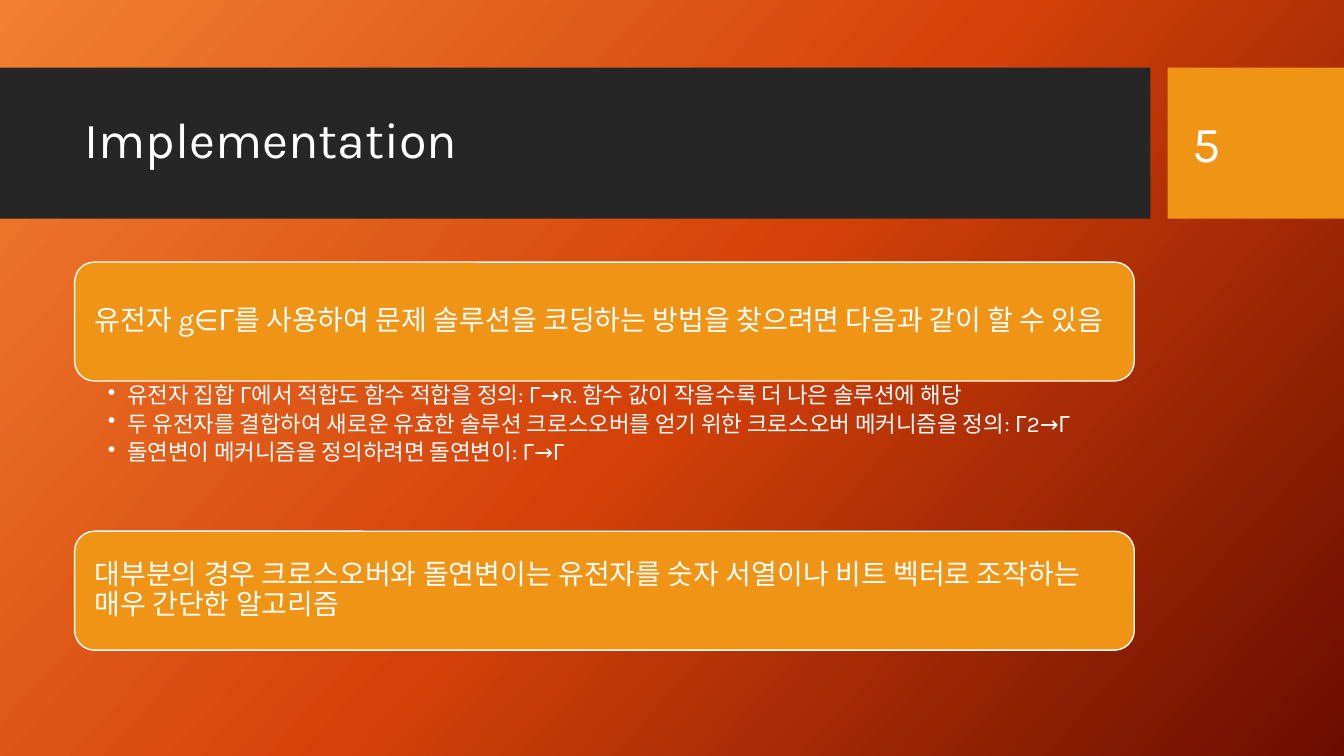
import copy

import pptx
import pptx.dml.color
import pptx.enum.shapes
import pptx.enum.text
import pptx.oxml.ns
import pptx.util
from lxml import etree

FONT = "Karla"
WHITE, DARK, AMBER = "FFFFFF", "262626", "F09415"
BACKGROUND = [(0, "F18031"), (0.5, "D54209"), (1, "6A0D00")]
MARGIN, CONTENT_W = 0.74, 10.51
BAND_TOP, BAND_H = 0.67, 1.5
CARD_H, BULLETS_H = 1.18, 1.49

CODING = "유전자 g∈Γ를 사용하여 문제 솔루션을 코딩하는 방법을 찾으려면 다음과 같이 할 수 있음"
STEPS = [
    "유전자 집합 Γ에서 적합도 함수 적합을 정의: Γ→R. 함수 값이 작을수록 더 나은 솔루션에 해당",
    "두 유전자를 결합하여 새로운 유효한 솔루션 크로스오버를 얻기 위한 크로스오버 메커니즘을 정의: Γ2→Γ",
    "돌연변이 메커니즘을 정의하려면 돌연변이: Γ→Γ",
]
SIMPLE = "대부분의 경우 크로스오버와 돌연변이는 유전자를 숫자 서열이나 비트 벡터로 조작하는 매우 간단한 알고리즘"


def rgb(value):
    return pptx.dml.color.RGBColor.from_string(value)


def inches(*lengths):
    return [pptx.util.Inches(length) for length in lengths]


def paint_background(s):
    fill = s.background.fill
    fill.gradient()
    fill.gradient_angle = 360 - 42
    first = fill.gradient_stops[0]._gs
    first.addnext(copy.deepcopy(first))
    for stop, (position, color) in zip(fill.gradient_stops, BACKGROUND):
        stop.position = position
        stop.color.rgb = rgb(color)


def add_block(s, box, kind, fill, line=None):
    sp = s.shapes.add_shape(kind, *inches(*box))
    sp.shadow.inherit = False
    sp.fill.solid()
    sp.fill.fore_color.rgb = rgb(fill)
    if line:
        sp.line.color.rgb = rgb(line)
        sp.line.width = pptx.util.Pt(1)
    else:
        sp.line.fill.background()
    return sp


def write(sp, lines, size, insets=(0.1, 0.05, 0.1, 0.05), middle=True, spacing=0.9, after=0):
    """Fill a shape with left-aligned paragraphs; insets run left, top, right, bottom."""
    tf = sp.text_frame
    tf.word_wrap = True
    tf.margin_left, tf.margin_top, tf.margin_right, tf.margin_bottom = inches(*insets)
    anchor = pptx.enum.text.MSO_ANCHOR
    tf.vertical_anchor = anchor.MIDDLE if middle else anchor.TOP
    tf.text = "\n".join(lines)
    for p in tf.paragraphs:
        p.alignment = pptx.enum.text.PP_ALIGN.LEFT
        p.line_spacing = spacing
        p.space_after = pptx.util.Pt(after)
        p.font.name = FONT
        p.font.size = pptx.util.Pt(size)
        p.font.color.rgb = rgb(WHITE)
    return tf


def add_header(s, top, height, title, number):
    rect = pptx.enum.shapes.MSO_SHAPE.RECTANGLE
    add_block(s, (0, top, 11.41, height), rect, DARK)
    add_block(s, (11.58, top, 1.75, height), rect, AMBER)
    text_top, text_h = top + 0.15, height - 0.32
    for left, width, text, spacing in [(MARGIN, CONTENT_W, title, 0.9), (11.73, 1.26, number, 1)]:
        sp = s.shapes.add_textbox(*inches(left, text_top, width, text_h))
        write(sp, [text], 36, spacing=spacing)


def add_card(s, box, text):
    sp = add_block(s, box, pptx.enum.shapes.MSO_SHAPE.ROUNDED_RECTANGLE, AMBER, WHITE)
    write(sp, [text], 20, insets=(0.14, 0.14, 0.12, 0.14), after=7)


def add_bullets(s, box, lines):
    sp = s.shapes.add_textbox(*inches(*box))
    tf = write(sp, lines, 16, insets=(0.33, 0.03, 0.16, 0.03), middle=False, after=3.2)
    indent = pptx.util.Inches(0.19)
    for p in tf.paragraphs:
        p.level = 1
        pPr = p._p.get_or_add_pPr()
        pPr.set("marL", str(indent))
        pPr.set("indent", str(-indent))
        bullet = etree.Element(pptx.oxml.ns.qn("a:buChar"), char="•")
        pPr.find(pptx.oxml.ns.qn("a:defRPr")).addprevious(bullet)


def add_content(s, left, top, width):
    add_card(s, (left, top, width, CARD_H), CODING)
    add_bullets(s, (left, top + CARD_H, width, BULLETS_H), STEPS)
    add_card(s, (left, top + CARD_H + BULLETS_H, width, CARD_H), SIMPLE)


def main():
    prs = pptx.Presentation()
    prs.slide_width, prs.slide_height = inches(13.33, 7.5)
    s = prs.slides.add_slide(prs.slide_layouts[6])
    paint_background(s)
    add_header(s, BAND_TOP, BAND_H, "Implementation", "5")
    add_content(s, MARGIN, 2.6, CONTENT_W)
    prs.save("out.pptx")


if __name__ == "__main__":
    main()
